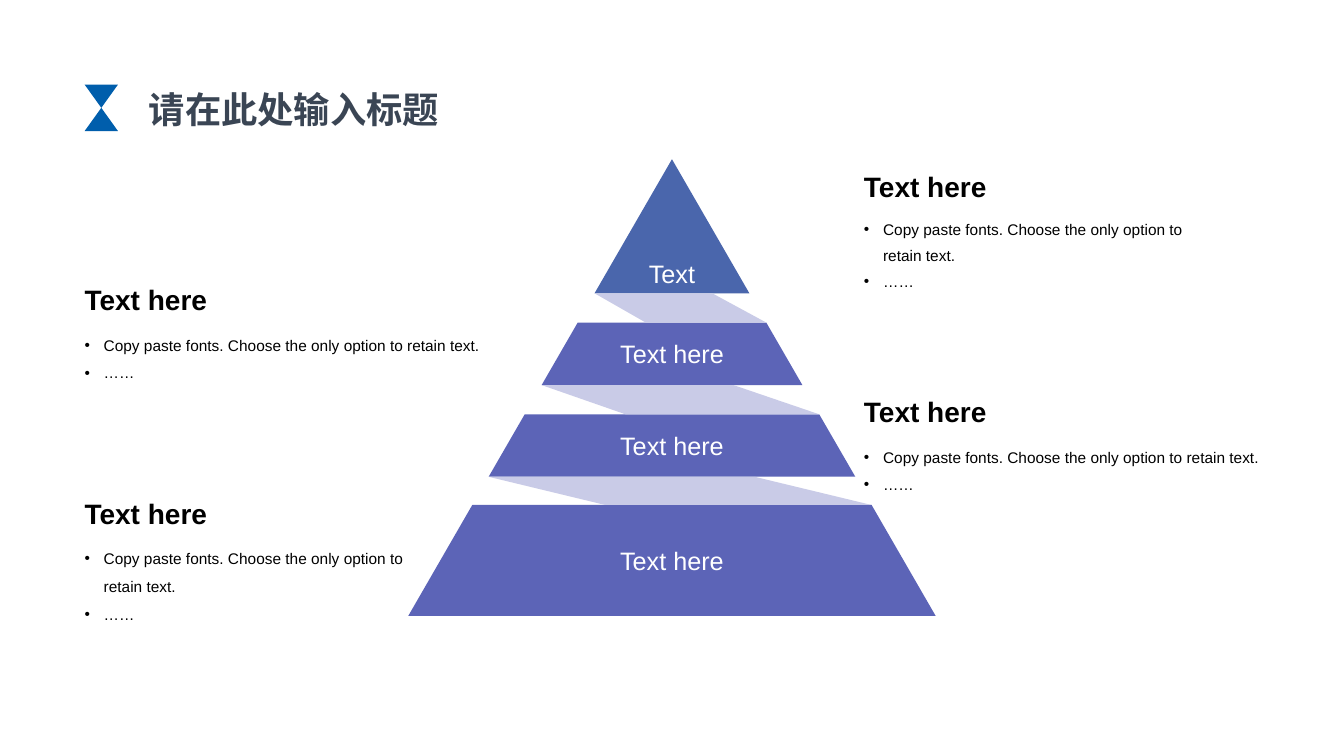
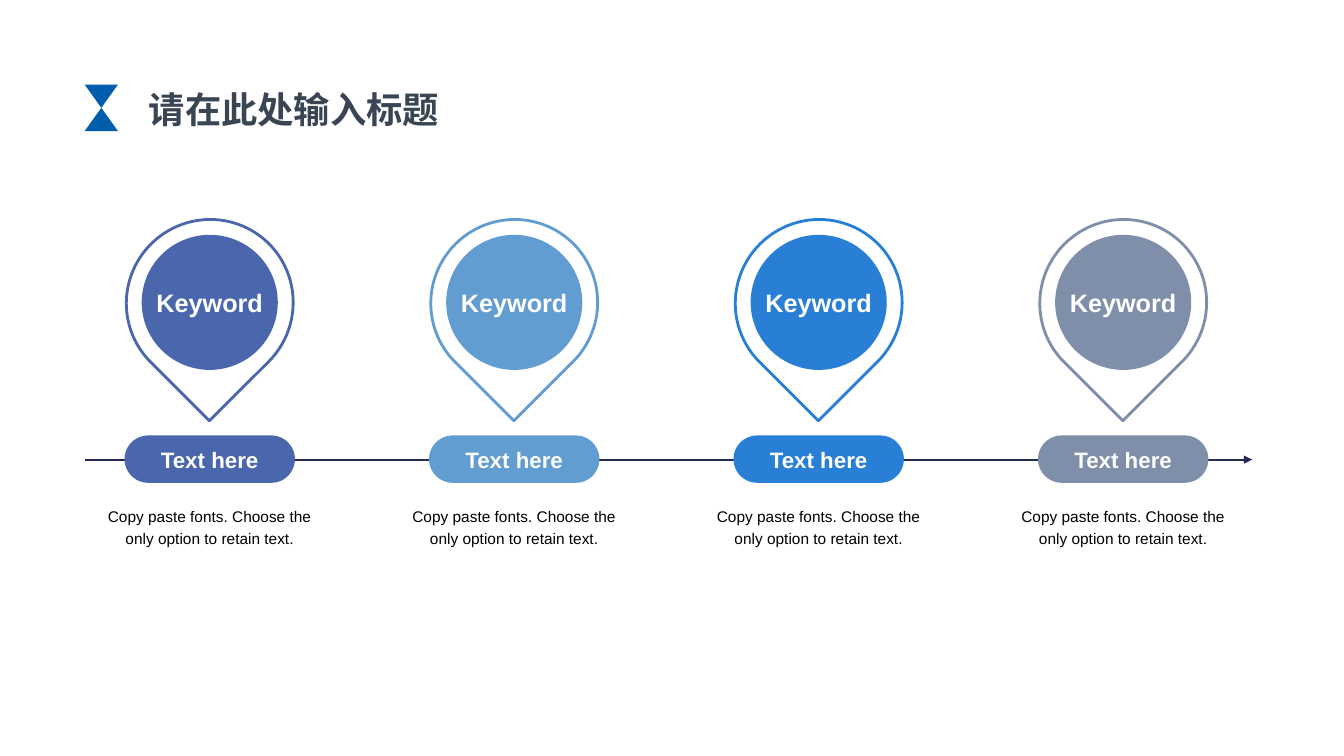
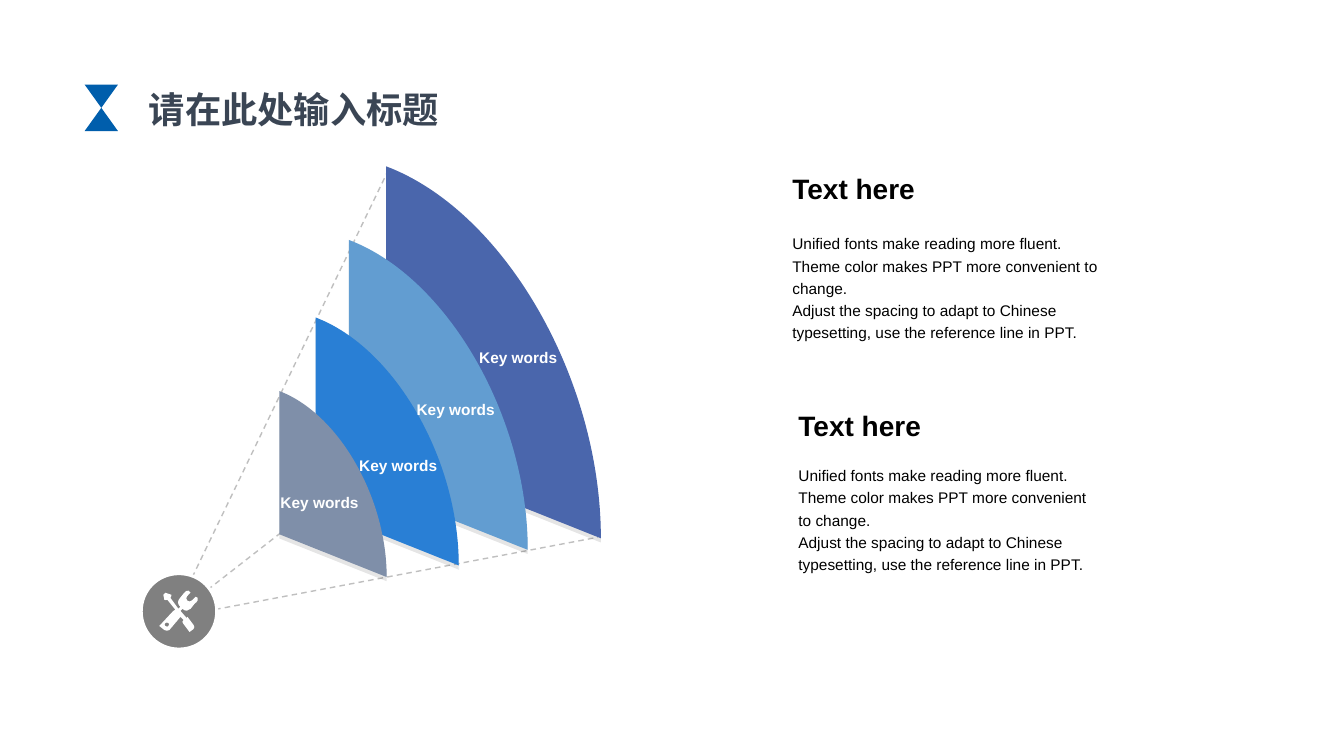
from dataclasses import dataclass

from lxml import etree
from pptx import Presentation
from pptx import util as u
from pptx.dml.color import RGBColor
from pptx.enum import dml, shapes, text
from pptx.oxml.ns import qn

Preset = shapes.MSO_SHAPE
Anchor = text.MSO_ANCHOR
Align = text.PP_ALIGN


@dataclass(frozen=True)
class Theme:
    """Colours, fonts and type sizes shared by all slides."""
    white: str = "FFFFFF"
    black: str = "000000"
    title: str = "3A4554"
    mark: str = "005EAC"
    indigo: str = "4A66AC"
    violet: str = "5C64B7"
    fold: str = "C9CBE7"
    axis: str = "242852"
    ray: str = "BFBFBF"
    badge: str = "808080"
    series: tuple = ("4A66AC", "629DD1", "297FD5", "7F8FA9")
    font: str = "Arial"
    title_font: str = "Noto Sans CJK SC"
    title_size: float = 25.9
    heading_size: float = 20
    label_size: float = 18
    pill_size: float = 15.9
    body_size: float = 11


@dataclass(frozen=True)
class Box:
    """A region of the page, in inches."""
    left: float
    top: float
    width: float
    height: float

    @property
    def middle(self):
        """Horizontal centre of the region."""
        return self.left + self.width / 2

    def centred(self, down, width, height):
        """Box centred across this one, starting the given distance down."""
        return Box(self.middle - width / 2, self.top + down, width, height)

    def lengths(self):
        """Left, top, width and height as lengths."""
        return [u.Inches(n) for n in (self.left, self.top, self.width, self.height)]


THEME = Theme()
ADVICE = "Copy paste fonts. Choose the only option to retain text."
GUIDANCE = (
    "Unified fonts make reading more fluent.",
    "Theme color makes PPT more convenient to change.",
    "Adjust the spacing to adapt to Chinese typesetting, use the reference line in PPT.",
)

# Points are lines; six numbers are a curve: two handles and an end point.
FAN = [(1, 1), (0, 0.77), (0, 0), (0.55, 0.12, 1, 0.57, 1, 1)]
DISC = [(0, 0.5), (0, 0.22, 0.22, 0, 0.5, 0), (0.78, 0, 1, 0.22, 1, 0.5),
        (1, 0.78, 0.78, 1, 0.5, 1), (0.22, 1, 0, 0.78, 0, 0.5)]
TOOLS = [
    (0.56, 0.24), (0.54, 0.23), (0.51, 0.26, 0.49, 0.29, 0.46, 0.27),
    (0.43, 0.24, 0.46, 0.22, 0.49, 0.19), (0.49, 0.19, 0.48, 0.18, 0.47, 0.17),
    (0.45, 0.16, 0.44, 0.18, 0.42, 0.2), (0.38, 0.25),
    (0.36, 0.27, 0.36, 0.31, 0.39, 0.33), (0.37, 0.35), (0.29, 0.24),
    (0.29, 0.23, 0.31, 0.22, 0.3, 0.21), (0.24, 0.19), (0.22, 0.21),
    (0.22, 0.21, 0.23, 0.26, 0.23, 0.26), (0.24, 0.27, 0.25, 0.26, 0.26, 0.26),
    (0.34, 0.36), (0.33, 0.36, 0.32, 0.37, 0.31, 0.38), (0.18, 0.52), (0.23, 0.56),
    (0.24, 0.57, 0.27, 0.57, 0.28, 0.56), (0.39, 0.43), (0.42, 0.46),
    (0.4, 0.47, 0.41, 0.49, 0.42, 0.5), (0.48, 0.58), (0.52, 0.55),
    (0.53, 0.54, 0.53, 0.52, 0.52, 0.51), (0.46, 0.43), (0.45, 0.44), (0.39, 0.37),
    (0.41, 0.35), (0.44, 0.38, 0.47, 0.37, 0.49, 0.35), (0.53, 0.3),
    (0.56, 0.28, 0.57, 0.25, 0.56, 0.24),
]
TOOLS_HOLE = [
    (0.27, 0.52), (0.27, 0.53, 0.25, 0.53, 0.24, 0.52),
    (0.23, 0.52, 0.23, 0.5, 0.24, 0.49), (0.25, 0.49, 0.26, 0.48, 0.27, 0.49),
    (0.28, 0.5, 0.28, 0.51, 0.27, 0.52),
]


def rgb(colour):
    """Colour object for a hex string."""
    return RGBColor.from_string(colour)


def paint(shape, fill, line=None, weight=2):
    """Give a shape a flat fill, an optional line and no shadow."""
    shape.shadow.inherit = False
    shape.fill.solid()
    shape.fill.fore_color.rgb = rgb(fill)
    if line:
        shape.line.color.rgb = rgb(line)
        shape.line.width = u.Pt(weight)
    else:
        shape.line.fill.background()
    return shape


def write(shape, lines, size, colour=THEME.black, bold=False, align=Align.LEFT,
          anchor=Anchor.TOP, wrap=True, spacing=None, bullets=False, font=THEME.font):
    """Fill a shape with paragraphs of one style."""
    frame = shape.text_frame
    frame.word_wrap = wrap
    frame.vertical_anchor = anchor
    for index, line in enumerate(lines):
        para = frame.add_paragraph() if index else frame.paragraphs[0]
        para.text = line
        para.alignment = align
        if spacing:
            para.line_spacing = spacing
        props = para._p.get_or_add_pPr()
        if bullets:
            props.set("marL", str(u.Inches(0.19)))
            props.set("indent", str(-u.Inches(0.19)))
            etree.SubElement(props, qn("a:buFont")).set("typeface", font)
            etree.SubElement(props, qn("a:buChar")).set("char", "•")
        para.font.size = u.Pt(size)
        para.font.bold = bold
        para.font.name = font
        para.font.color.rgb = rgb(colour)
        etree.SubElement(props.find(qn("a:defRPr")), qn("a:ea")).set("typeface", font)
    return frame


def label(shape, words, size, bold=False, anchor=Anchor.MIDDLE):
    """Write one white centred line on a shape."""
    write(shape, [words], size, THEME.white, bold, Align.CENTER, anchor, wrap=False)


def add_text(page, box, lines, size, **style):
    """Place a text box."""
    return write(page.shapes.add_textbox(*box.lengths()), lines, size, **style)


def add_preset(page, kind, box, fill, line=None):
    """Place a painted preset shape."""
    return paint(page.shapes.add_shape(kind, *box.lengths()), fill, line)


def bend(shape, outlines):
    """Join the three segments that stand for each curve into one."""
    segments = shape._element.iter(qn("a:lnTo"))
    segments = iter(list(segments))
    for part in (part for outline in outlines for part in outline[1:]):
        joined = [next(segments) for _ in range(len(part) // 2)]
        if len(joined) == 3:
            curve = etree.Element(qn("a:cubicBezTo"))
            joined[0].addprevious(curve)
            for segment in joined:
                curve.append(segment[0])
                segment.getparent().remove(segment)


def add_outline(page, fill, *outlines, box=Box(0, 0, 1, 1), line=None, weight=2):
    """Place a painted freeform, its outlines scaled to a box."""
    builder = None
    for outline in outlines:
        start, *rest = [(u.Inches(box.left + x * box.width), u.Inches(box.top + y * box.height))
                        for part in outline for x, y in zip(part[::2], part[1::2])]
        if builder is None:
            builder = page.shapes.build_freeform(*start)
        else:
            builder.move_to(*start)
        builder.add_line_segments(rest, close=True)
    shape = builder.convert_to_shape()
    bend(shape, outlines)
    return paint(shape, fill, line, weight)


def add_line(page, start, end, colour, weight, dashed=False, arrow=False):
    """Place a straight line, dashed or with an arrowhead if asked."""
    line = page.shapes.add_connector(
        shapes.MSO_CONNECTOR.STRAIGHT, *[u.Inches(n) for n in (*start, *end)])
    line.line.color.rgb = rgb(colour)
    line.line.width = u.Pt(weight)
    if dashed:
        line.line.dash_style = dml.MSO_LINE.DASH
    if arrow:
        etree.SubElement(line.get_or_add_ln(), qn("a:tailEnd")).set("type", "triangle")
    etree.SubElement(line._element.spPr, qn("a:effectLst"))


def drop_shadow(shape):
    """Add a faint hard shadow just below a shape."""
    effects = shape._element.spPr.find(qn("a:effectLst"))
    shadow = etree.SubElement(effects, qn("a:outerShdw"), blurRad="0",
                              dist=str(u.Pt(3)), dir="5400000", algn="t", rotWithShape="0")
    colour = etree.SubElement(shadow, qn("a:srgbClr"), val=THEME.black)
    etree.SubElement(colour, qn("a:alpha"), val="10000")


def title(page, box):
    """Title with the hourglass mark at its left."""
    words = Box(box.left + 0.33, box.top, box.width - 0.33, box.height)
    frame = add_text(page, words, ["请在此处输入标题"], THEME.title_size, colour=THEME.title,
                     bold=True, align=Align.CENTER, anchor=Anchor.MIDDLE,
                     font=THEME.title_font)
    frame.margin_left = frame.margin_right = 0
    mark = Box(box.left, box.top, 0.33, 0.46)
    add_preset(page, Preset.FLOWCHART_COLLATE, mark, THEME.mark)


def note(page, box, lines, heading_height=0.48, anchor=Anchor.BOTTOM, **style):
    """Bold heading with body text under it."""
    heading = Box(box.left, box.top, box.width, heading_height)
    body = Box(box.left, box.top + heading_height, box.width, box.height - heading_height)
    add_text(page, heading, ["Text here"], THEME.heading_size, bold=True, anchor=anchor)
    add_text(page, body, lines, THEME.body_size, **style)


def pyramid(page, box):
    """Four tiers cut from one triangle, joined by folded ribbons."""
    tiers = [(0, 1.33), (1.62, 2.24), (2.53, 3.15), (3.43, 4.53)]

    def edge(depth, side):
        """Point on the left (-1) or right (1) side at a depth."""
        return box.middle + side * box.width / 2 * depth / box.height, box.top + depth

    for index, (upper, lower) in enumerate(tiers):
        peak = [edge(upper, -1), edge(upper, 1)] if index else [edge(upper, 1)]
        tier = add_outline(page, THEME.violet if index else THEME.indigo,
                           [edge(lower, -1), *peak, edge(lower, 1)])
        label(tier, "Text here" if index else "Text", THEME.label_size,
              anchor=Anchor.MIDDLE if index else Anchor.BOTTOM)
    for index, ((_, upper), (lower, _)) in enumerate(zip(tiers, tiers[1:])):
        add_outline(page, THEME.fold, [
            edge(upper, -1), (box.middle + 0.4 + 0.21 * index, box.top + upper),
            edge(lower, 1), (box.middle - 0.26 - 0.2 * index, box.top + lower)])


def milestone(page, box, colour):
    """Pin with keyword, pill on the axis and a caption below."""
    pin = add_preset(page, Preset.TEAR, box.centred(0, 1.66, 1.65), THEME.white, colour)
    pin.rotation = 135
    disc = add_preset(page, Preset.OVAL, box.centred(0.15, 1.35, 1.34), colour)
    label(disc, "Keyword", THEME.label_size, bold=True)
    pill = add_preset(page, Preset.ROUNDED_RECTANGLE, box.centred(2.14, 1.69, 0.47), colour)
    pill.adjustments[0] = 0.5
    label(pill, "Text here", THEME.pill_size, bold=True)
    add_text(page, box.centred(2.76, box.width, 0.61), [ADVICE], THEME.body_size,
             align=Align.CENTER, spacing=1.2)


def timeline(page, box):
    """Arrowed axis carrying one milestone per series colour."""
    level = box.top + 2.38
    add_line(page, (box.left, level), (box.left + box.width, level), THEME.axis, 1.5,
             arrow=True)
    for index, colour in enumerate(THEME.series):
        milestone(page, Box(box.left + 0.04 + 3.02 * index, box.top, 2.4, box.height), colour)


def fans(page, box):
    """Nested fan blades, largest at the back, projected from a tool badge."""
    def at(x, y):
        """Point at a distance from the region's corner."""
        return box.left + x, box.top + y

    for start, end in [((0.45, 4.45), (4.53, 3.68)), ((0.38, 4.34), (2.47, 0)),
                       ((0.43, 4.38), (2.24, 2.97))]:
        add_line(page, at(*start), at(*end), THEME.ray, 1, dashed=True)

    corners = [(2.43, 0), (2.06, 0.73), (1.73, 1.5), (1.37, 2.23)]
    for index, (corner, colour) in enumerate(zip(corners, THEME.series)):
        blade = Box(*at(*corner), 2.13 - 0.355 * index, 3.69 - 0.615 * index)
        drop_shadow(add_outline(page, colour, FAN, box=blade))
    for x, y in [(1.2, 3.08), (1.98, 2.71), (2.55, 2.16), (3.17, 1.64)]:
        add_text(page, Box(*at(x, y), 1.14, 0.51), ["Key words"], THEME.body_size,
                 colour=THEME.white, bold=True, align=Align.CENTER, anchor=Anchor.MIDDLE)

    badge = Box(*at(0, 4.04), 0.75, 0.75)
    add_outline(page, THEME.badge, DISC, box=badge, line=THEME.white, weight=2.25)
    add_outline(page, THEME.white, TOOLS, TOOLS_HOLE, box=Box(badge.left, badge.top, 1, 1))


def pyramid_slide(page):
    """Pyramid with two bulleted notes on either side."""
    pyramid(page, Box(4.05, 1.58, 5.23, 4.53))
    for box, spacing in [(Box(8.47, 1.58, 3.42, 1.38), 1.4), (Box(0.74, 2.71, 4.47, 1.31), 1.5),
                         (Box(8.47, 3.82, 4.13, 1.33), 1.5), (Box(0.74, 4.83, 3.47, 1.47), 1.5)]:
        note(page, box, [ADVICE, "……"], spacing=spacing, bullets=True)


def timeline_slide(page):
    """Timeline of four milestones."""
    timeline(page, Box(0.84, 2.18, 11.58, 3.37))


def fan_slide(page):
    """Fan diagram with two notes at the right."""
    fans(page, Box(1.4, 1.65, 4.56, 4.79))
    for box, heading_height in [(Box(7.82, 4, 3.22, 1.97), 0.54),
                                (Box(7.76, 1.65, 3.28, 2.16), 0.59)]:
        note(page, box, GUIDANCE, heading_height, Anchor.TOP, spacing=1.2)


def main():
    """Build and save the deck."""
    deck = Presentation()
    deck.slide_width, deck.slide_height = u.Inches(13.33), u.Inches(7.5)
    for build in (pyramid_slide, timeline_slide, fan_slide):
        page = deck.slides.add_slide(deck.slide_layouts[6])
        build(page)
        title(page, Box(0.84, 0.84, 3.82, 0.48))
    deck.save("out.pptx")


main()
